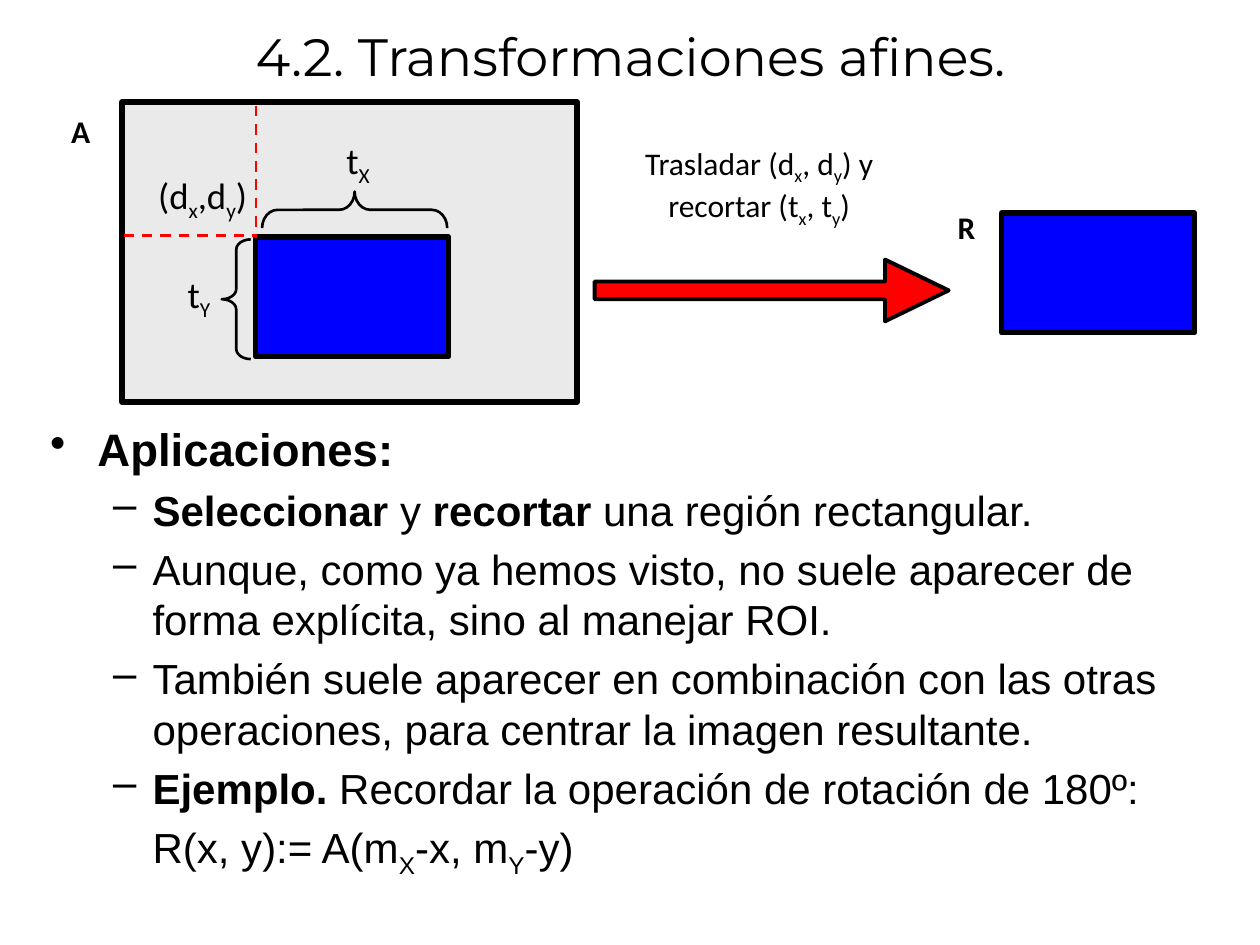
from dataclasses import dataclass
from typing import Optional

import lxml.etree
import pptx
import pptx.dml.color
import pptx.enum.dml
import pptx.enum.shapes
import pptx.enum.text
import pptx.oxml.ns
import pptx.util

Pt = pptx.util.Pt
qn = pptx.oxml.ns.qn
Align = pptx.enum.text.PP_ALIGN
Shape = pptx.enum.shapes.MSO_SHAPE


@dataclass(frozen=True)
class Theme:
    black: str = "000000"
    region: str = "0000FF"
    canvas: str = "EAEAEA"
    accent: str = "FF0000"
    title_font: str = "Montserrat"
    label_font: str = "Calibri"
    body_font: str = "Arial"
    title_size: float = 30
    heading_size: float = 26
    body_size: float = 24
    symbol_size: float = 21
    label_size: float = 18


@dataclass(frozen=True)
class Piece:
    text: str
    bold: bool = False
    sub: bool = False


@dataclass(frozen=True)
class Box:
    left: float
    top: float
    width: float
    height: float

    def lengths(self) -> tuple:
        return tuple(Pt(v) for v in (self.left, self.top, self.width, self.height))


@dataclass(frozen=True)
class Label:
    box: Box
    pieces: tuple
    size: float
    bold: bool = False
    align: Align = Align.CENTER


@dataclass(frozen=True)
class Figure:
    kind: Shape
    box: Box
    line_width: float
    fill: Optional[str] = None
    adjustments: tuple = ()
    rotation: float = 0


@dataclass(frozen=True)
class Guide:
    start: tuple
    end: tuple


@dataclass(frozen=True)
class Item:
    pieces: tuple
    size: float
    margin: float
    indent: float
    bullet: Optional[str] = None
    bold: bool = False
    level: int = 0
    before: float = 0


THEME = Theme()


def rgb(value: str):
    return pptx.dml.color.RGBColor.from_string(value)


def style(paragraph, font_name: str, size: float, bold: bool = False) -> None:
    font = paragraph.font
    font.name, font.size, font.bold = font_name, Pt(size), bold
    font.color.rgb = rgb(THEME.black)


def write(paragraph, pieces: tuple) -> None:
    for piece in pieces:
        run = paragraph.add_run()
        run.text = piece.text
        if piece.bold:
            run.font.bold = True
        if piece.sub:
            run.font._element.set("baseline", "-25000")


def draw_label(slide, label: Label) -> None:
    frame = slide.shapes.add_textbox(*label.box.lengths()).text_frame
    frame.word_wrap = True
    paragraph = frame.paragraphs[0]
    paragraph.alignment = label.align
    style(paragraph, THEME.label_font, label.size, label.bold)
    write(paragraph, label.pieces)


def draw_figure(slide, figure: Figure) -> None:
    shape = slide.shapes.add_shape(figure.kind, *figure.box.lengths())
    shape.shadow.inherit = False
    shape.rotation = figure.rotation
    for index, value in enumerate(figure.adjustments):
        shape.adjustments[index] = value
    if figure.fill:
        shape.fill.solid()
        shape.fill.fore_color.rgb = rgb(figure.fill)
    else:
        shape.fill.background()
    shape.line.color.rgb = rgb(THEME.black)
    shape.line.width = Pt(figure.line_width)


def draw_guide(slide, guide: Guide) -> None:
    ends = (Pt(v) for v in guide.start + guide.end)
    connector = slide.shapes.add_connector(pptx.enum.shapes.MSO_CONNECTOR.STRAIGHT, *ends)
    connector.line.color.rgb = rgb(THEME.accent)
    connector.line.width = Pt(1.5)
    connector.line.dash_style = pptx.enum.dml.MSO_LINE.DASH
    lxml.etree.SubElement(connector._element.spPr, qn("a:effectLst"))


def draw_items(slide, box: Box, items: tuple) -> None:
    frame = slide.shapes.add_textbox(*box.lengths()).text_frame
    frame.word_wrap = True
    for index, item in enumerate(items):
        paragraph = frame.add_paragraph() if index else frame.paragraphs[0]
        paragraph.level = item.level
        properties = paragraph._p.get_or_add_pPr()
        properties.set("marL", str(Pt(item.margin)))
        properties.set("indent", str(Pt(item.indent)))
        if item.before:
            paragraph.space_before = Pt(item.before)
        if item.bullet:
            lxml.etree.SubElement(properties, qn("a:buChar")).set("char", item.bullet)
        else:
            lxml.etree.SubElement(properties, qn("a:buNone"))
        style(paragraph, THEME.body_font, item.size, item.bold)
        write(paragraph, item.pieces)


def draw_title(slide, text: str) -> None:
    title = slide.shapes.title
    title.left, title.top, title.width, title.height = Box(14.4, 0, 692, 64).lengths()
    frame = title.text_frame
    frame.text = text
    frame.vertical_anchor = pptx.enum.text.MSO_ANCHOR.MIDDLE
    frame.paragraphs[0].alignment = Align.CENTER
    style(frame.paragraphs[0], THEME.title_font, THEME.title_size)


def detail(*pieces: Piece, bullet: Optional[str] = "–") -> Item:
    indent = -22.5 if bullet else 0
    return Item(pieces, THEME.body_size, 58.5, indent, bullet, level=1, before=5)


def pair(letter: str) -> tuple:
    return (Piece(letter), Piece("x", sub=True), Piece(f",{letter[-1]}"), Piece("y", sub=True))


def spaced_pair(lead: str, letter: str) -> tuple:
    return (Piece(f"{lead}({letter}"), Piece("x", sub=True),
            Piece(f", {letter}"), Piece("y", sub=True))


FIGURES = (
    Figure(Shape.RECTANGLE, Box(69.8, 58.3, 260, 171.4), 3, THEME.canvas),
    Figure(Shape.RECTANGLE, Box(146.2, 135.4, 110.2, 68.4), 3, THEME.region),
    Figure(Shape.LEFT_BRACE, Box(126.7, 136.8, 16.6, 68.4), 1.5, None, (0.349, 0.5)),
    Figure(Shape.LEFT_BRACE, Box(192.2, 67, 20.9, 105.8), 1.5, None, (0.424, 0.5), 90),
    Figure(Shape.RECTANGLE, Box(572.4, 121.7, 110.2, 68.4), 3, THEME.region),
    Figure(Shape.RIGHT_ARROW, Box(339.8, 148.3, 202.3, 35.3), 2.25, THEME.accent, (0.288, 1.03)),
)
GUIDES = (Guide((146.2, 60.5), (146.2, 136)), Guide((70.6, 134.6), (146.9, 134.6)))
LABELS = (
    Label(Box(73.4, 95, 74.9, 32.4), pair("(d") + (Piece(")"),),
          THEME.symbol_size, align=Align.RIGHT),
    Label(Box(182.2, 74.9, 44.6, 32.4), (Piece("t"), Piece("X", sub=True)), THEME.symbol_size),
    Label(Box(91.4, 151.9, 44.6, 32.4), (Piece("t"), Piece("Y", sub=True)), THEME.symbol_size),
    Label(Box(23.8, 60.5, 44.6, 36), (Piece("A"),), THEME.label_size, True),
    Label(Box(529.9, 115.2, 44.6, 36), (Piece("R"),), THEME.label_size, True),
    Label(Box(331.9, 78.5, 203.8, 64.8),
          spaced_pair("Trasladar ", "d") + spaced_pair(") y recortar ", "t") + (Piece(")"),),
          THEME.label_size),
)
ITEMS = (
    Item((Piece("Aplicaciones:"),), THEME.heading_size, 27, -27, "•", True),
    detail(Piece("Seleccionar", True), Piece(" y "), Piece("recortar", True),
           Piece(" una región rectangular.")),
    detail(Piece("Aunque, como ya hemos visto, no suele aparecer de forma explícita, "
                 "sino al manejar ROI.")),
    detail(Piece("También suele aparecer en combinación con las otras operaciones, "
                 "para centrar la imagen resultante.")),
    detail(Piece("Ejemplo.", True), Piece(" Recordar la operación de rotación de 180º:")),
    detail(Piece("R(x, y):= A(m"), Piece("X", sub=True), Piece("-x, m"),
           Piece("Y", sub=True), Piece("-y)"), bullet=None),
)


def main() -> None:
    deck = pptx.Presentation()
    deck.slide_width, deck.slide_height = Pt(720), Pt(540)
    slide = deck.slides.add_slide(deck.slide_layouts[5])
    draw_title(slide, "4.2. Transformaciones afines.")
    draw_items(slide, Box(21.6, 237, 682.6, 268.6), ITEMS)
    for figure in FIGURES:
        draw_figure(slide, figure)
    for guide in GUIDES:
        draw_guide(slide, guide)
    for label in LABELS:
        draw_label(slide, label)
    deck.save("out.pptx")


if __name__ == "__main__":
    main()
